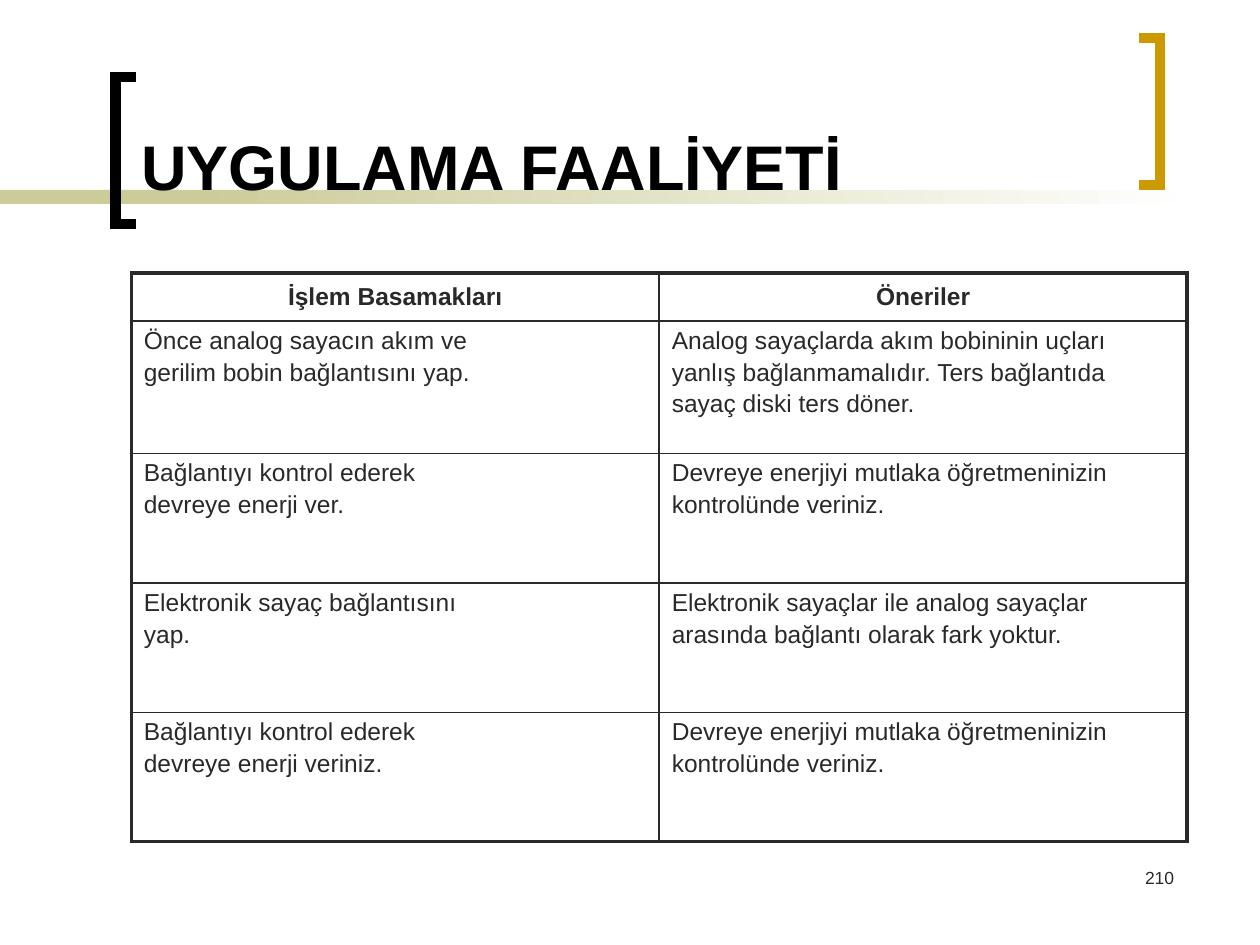
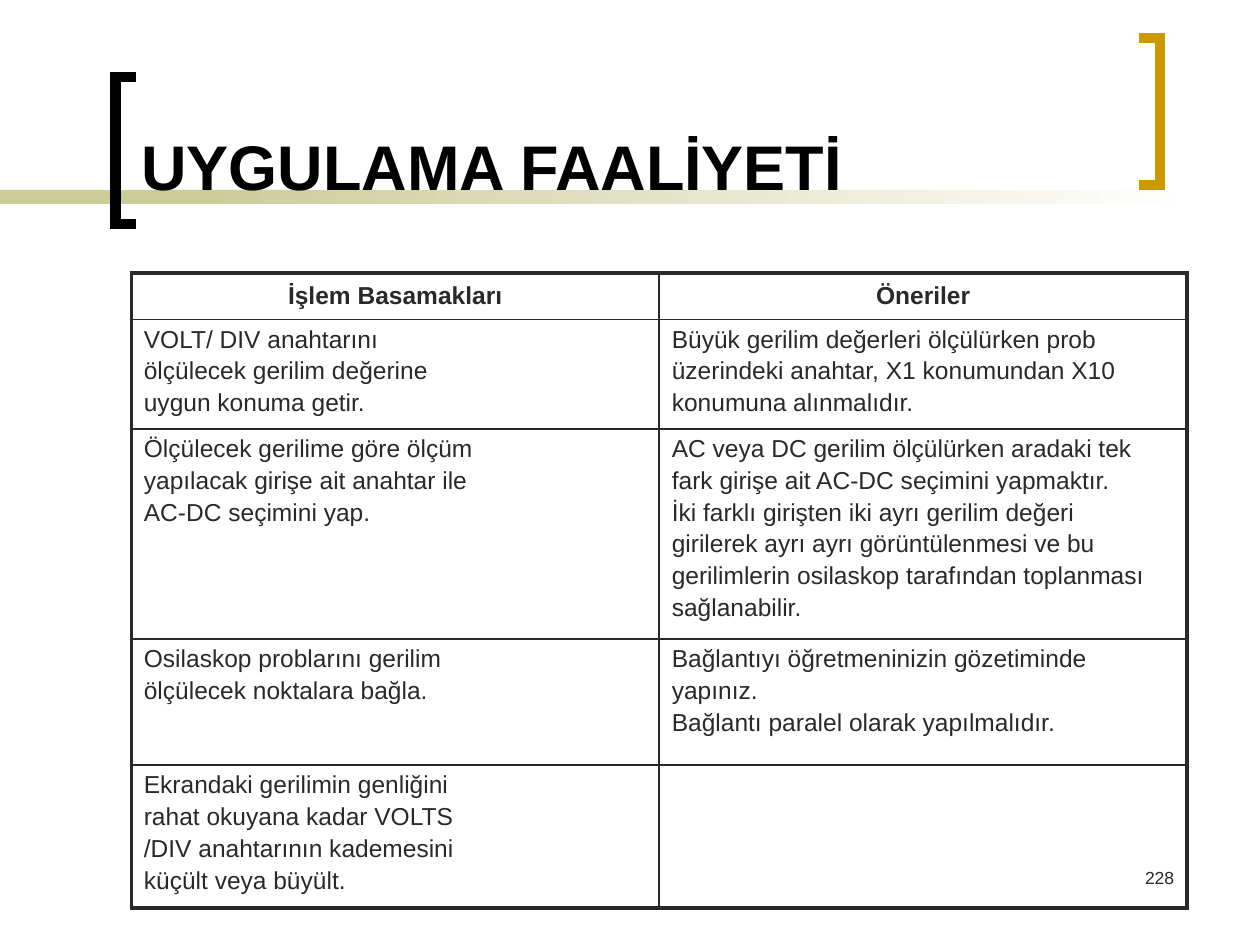
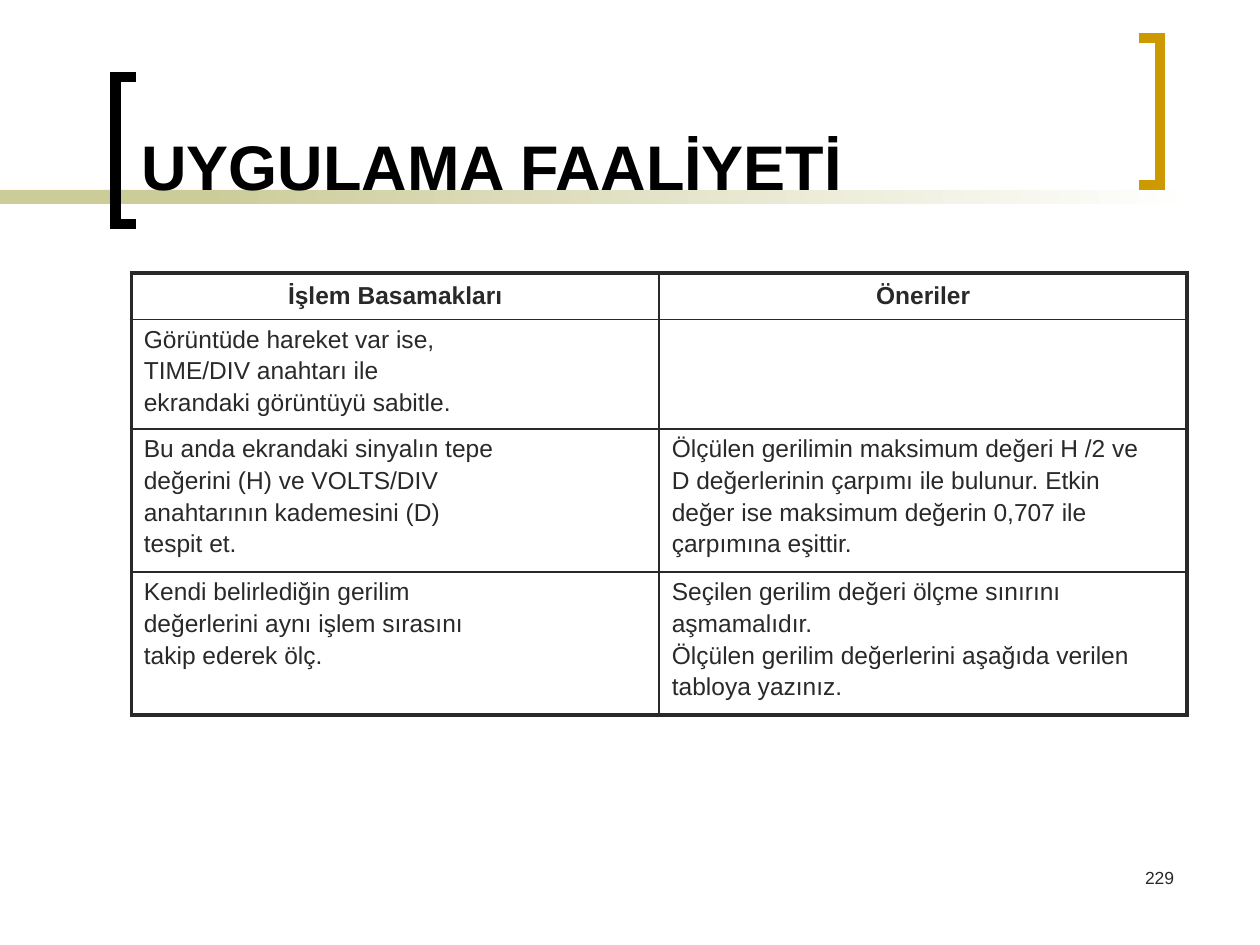
from lxml import etree
from pptx import Presentation
from pptx.dml.color import RGBColor
from pptx.enum.shapes import MSO_SHAPE
from pptx.enum.text import MSO_ANCHOR, PP_ALIGN
from pptx.oxml.ns import qn
from pptx.util import Pt

RECTANGLE = MSO_SHAPE.RECTANGLE
LEFT, CENTER, RIGHT = PP_ALIGN.LEFT, PP_ALIGN.CENTER, PP_ALIGN.RIGHT
TOP, MIDDLE, BOTTOM = MSO_ANCHOR.TOP, MSO_ANCHOR.MIDDLE, MSO_ANCHOR.BOTTOM

HEX = {"text": "292929", "title": "000000", "band": "CCCC99", "gold": "CC9900", "white": "FFFFFF"}
COLORS = {name: RGBColor.from_string(value) for name, value in HEX.items()}
FONT = "Arial"
TITLE = "UYGULAMA FAALİYETİ"
HEADER = ("İşlem Basamakları", "Öneriler")
COLUMN_WIDTH = 301.7
OUTER, INNER = 2.25, 1

PAGES = [
    {
        "number": "210",
        "heights": [27.4, 75.7, 74, 74, 74],
        "rows": [
            ("Önce analog sayacın akım ve\ngerilim bobin bağlantısını yap.",
             "Analog sayaçlarda akım bobininin uçları\nyanlış bağlanmamalıdır. Ters bağlantıda\n"
             "sayaç diski ters döner."),
            ("Bağlantıyı kontrol ederek\ndevreye enerji ver.",
             "Devreye enerjiyi mutlaka öğretmeninizin\nkontrolünde veriniz."),
            ("Elektronik sayaç bağlantısını\nyap.",
             "Elektronik sayaçlar ile analog sayaçlar\narasında bağlantı olarak fark yoktur."),
            ("Bağlantıyı kontrol ederek\ndevreye enerji veriniz.",
             "Devreye enerjiyi mutlaka öğretmeninizin\nkontrolünde veriniz."),
        ],
    },
    {
        "number": "228",
        "heights": [26.7, 60, 115.7, 72, 78.5],
        "rows": [
            ("VOLT/ DIV anahtarını\nölçülecek gerilim değerine\nuygun konuma getir.",
             "Büyük gerilim değerleri ölçülürken prob\nüzerindeki anahtar, X1 konumundan X10\n"
             "konumuna alınmalıdır."),
            ("Ölçülecek gerilime göre ölçüm\nyapılacak girişe ait anahtar ile\nAC-DC seçimini yap.",
             "AC veya DC gerilim ölçülürken aradaki tek\nfark girişe ait AC-DC seçimini yapmaktır.\n"
             "İki farklı girişten iki ayrı gerilim değeri\ngirilerek ayrı ayrı görüntülenmesi ve bu\n"
             "gerilimlerin osilaskop tarafından toplanması\nsağlanabilir."),
            ("Osilaskop problarını gerilim\nölçülecek noktalara bağla.",
             "Bağlantıyı öğretmeninizin gözetiminde\nyapınız.\nBağlantı paralel olarak yapılmalıdır."),
            ("Ekrandaki gerilimin genliğini\nrahat okuyana kadar VOLTS\n"
             "/DIV anahtarının kademesini\nküçült veya büyült.", ""),
        ],
    },
    {
        "number": "229",
        "heights": [26.7, 60, 78.5, 78.5],
        "rows": [
            ("Görüntüde hareket var ise,\nTIME/DIV anahtarı ile\nekrandaki görüntüyü sabitle.", ""),
            ("Bu anda ekrandaki sinyalın tepe\ndeğerini (H) ve VOLTS/DIV\n"
             "anahtarının kademesini (D)\ntespit et.",
             "Ölçülen gerilimin maksimum değeri H /2 ve\nD değerlerinin çarpımı ile bulunur. Etkin\n"
             "değer ise maksimum değerin 0,707 ile\nçarpımına eşittir."),
            ("Kendi belirlediğin gerilim\ndeğerlerini aynı işlem sırasını\ntakip ederek ölç.",
             "Seçilen gerilim değeri ölçme sınırını\naşmamalıdır.\n"
             "Ölçülen gerilim değerlerini aşağıda verilen\ntabloya yazınız."),
        ],
    },
]


def write(frame, text, size=14, color="text", bold=False, align=LEFT, anchor=TOP):
    frame.word_wrap = True
    frame.vertical_anchor = anchor
    for index, line in enumerate(text.split("\n")):
        para = frame.add_paragraph() if index else frame.paragraphs[0]
        para.alignment = align
        para.space_before = Pt(2.4 if index else 0)
        span = para.add_run()
        span.text = line
        span.font.name = FONT
        span.font.size = Pt(size)
        span.font.bold = bold
        span.font.color.rgb = COLORS[color]


def add_borders(cell, widths):
    properties = cell._tc.get_or_add_tcPr()
    for side, width in widths.items():
        border = etree.SubElement(properties, qn(f"a:ln{side}"), w=str(Pt(width)))
        fill = etree.SubElement(border, qn("a:solidFill"))
        etree.SubElement(fill, qn("a:srgbClr"), val=HEX["text"])


deck = Presentation()
deck.slide_width, deck.slide_height = Pt(720), Pt(540)
layout = deck.slide_layouts[5]
layout_title = layout.placeholders[0]
layout_title.left, layout_title.top = Pt(73.5), Pt(8)
layout_title.width, layout_title.height = Pt(564), Pt(111.5)
pages = [deck.slides.add_slide(layout) for _ in PAGES]

decorations = []
shapes = pages[0].shapes
for left, width in ((0, 168), (114, 570)):
    band = shapes.add_shape(RECTANGLE, Pt(left), Pt(108.6), Pt(width), Pt(8))
    band.line.fill.background()
    decorations.append(band)
solid_band, fading_band = decorations
solid_band.fill.solid()
solid_band.fill.fore_color.rgb = COLORS["band"]
fading_band.fill.gradient()
fading_band.fill.gradient_angle = 0
for stop, color in zip(fading_band.fill.gradient_stops, ("band", "white")):
    stop.color.rgb = COLORS[color]

for tip, spine, top, color in ((78, 66, 44, "title"), (651, 663, 21.6, "gold")):
    outline = shapes.build_freeform(Pt(tip), Pt(top))
    corners = ((spine, top), (spine, top + 84), (tip, top + 84))
    outline.add_line_segments([(Pt(x), Pt(y)) for x, y in corners], close=False)
    bracket = outline.convert_to_shape()
    bracket.fill.background()
    bracket.line.width = Pt(6)
    bracket.line.color.rgb = COLORS[color]
    etree.SubElement(bracket.element.find(".//" + qn("a:ln")), qn("a:miter"), lim="800000")
    decorations.append(bracket)

for shape in decorations:
    shape.shadow.inherit = False
    layout.shapes.element.append(shape.element)

for page, content in zip(pages, PAGES):
    write(page.shapes.title.text_frame, TITLE, size=36, color="title", bold=True, anchor=BOTTOM)
    number_box = page.shapes.add_textbox(Pt(528), Pt(492), Pt(150), Pt(36))
    write(number_box.text_frame, content["number"], size=10, align=RIGHT)

    rows = [HEADER, *content["rows"]]
    heights = content["heights"]
    table = page.shapes.add_table(
        len(rows), 2, Pt(75), Pt(156), Pt(2 * COLUMN_WIDTH), Pt(sum(heights))
    ).table
    table.first_row = table.horz_banding = False
    for column in table.columns:
        column.width = Pt(COLUMN_WIDTH)
    for r, (height, texts) in enumerate(zip(heights, rows)):
        table.rows[r].height = Pt(height)
        for c, text in enumerate(texts):
            cell = table.cell(r, c)
            add_borders(cell, {
                "L": INNER if c else OUTER,
                "R": OUTER if c else INNER,
                "T": INNER if r else OUTER,
                "B": OUTER if r == len(rows) - 1 else INNER,
            })
            cell.fill.background()
            cell.vertical_anchor = TOP if r else MIDDLE
            if text:
                write(cell.text_frame, text, bold=r == 0, align=LEFT if r else CENTER,
                      anchor=None)

deck.save("out.pptx")
